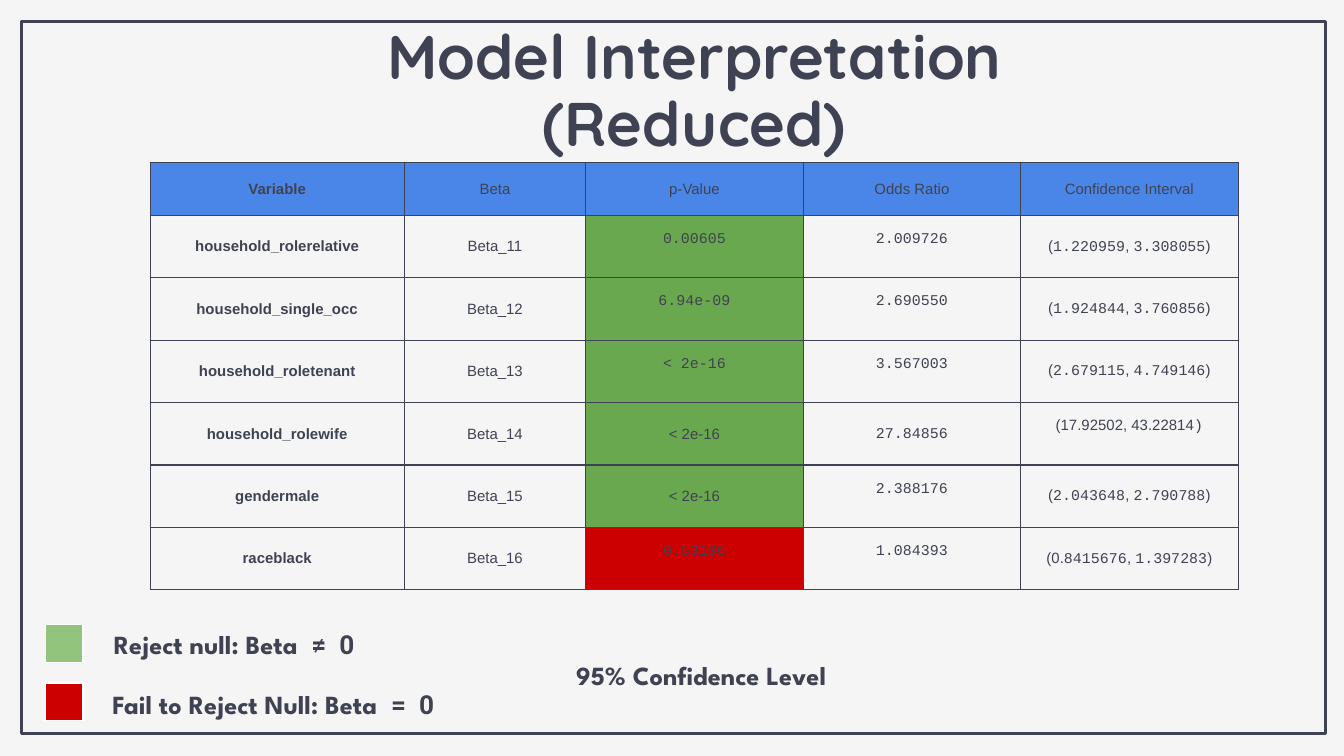
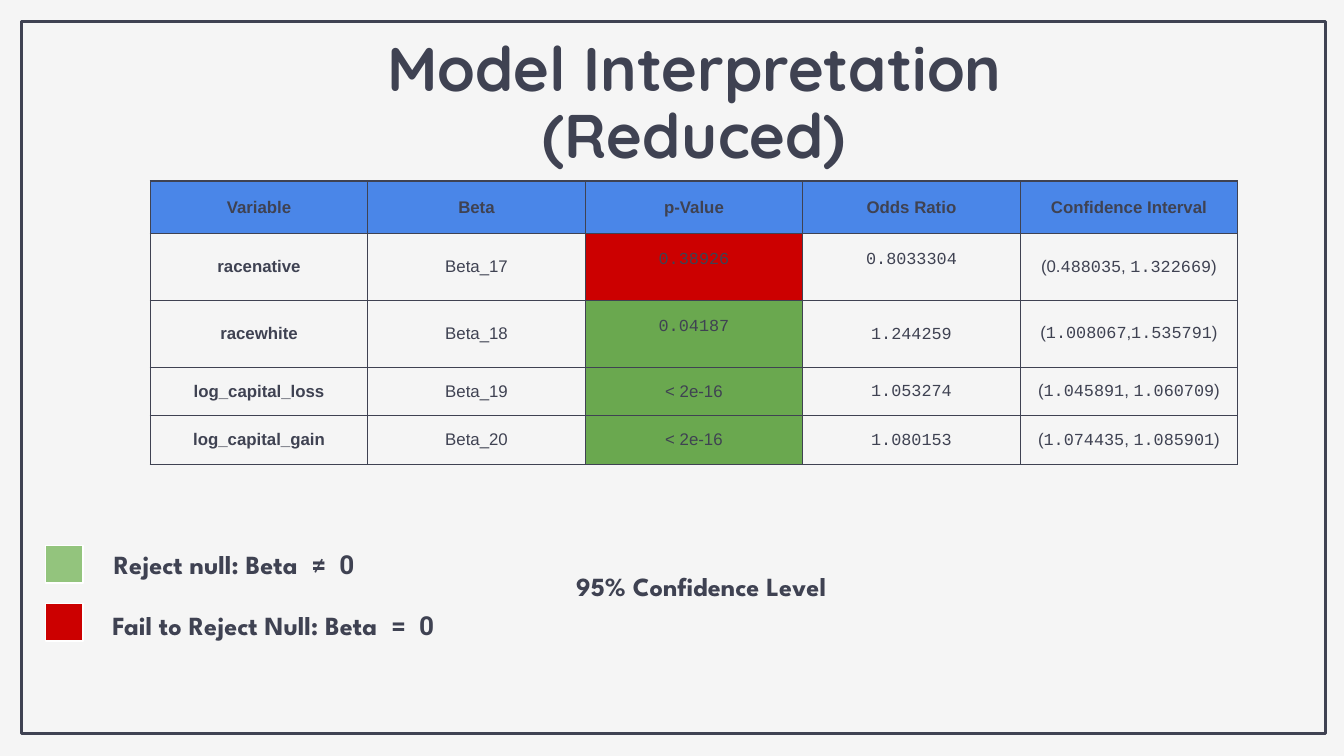
from lxml import etree
from pptx import Presentation
from pptx.dml.color import RGBColor
from pptx.enum.shapes import MSO_SHAPE as Preset
from pptx.enum.text import MSO_ANCHOR as Anchor, MSO_AUTO_SIZE as AutoSize, PP_ALIGN as Align
from pptx.oxml import parse_xml
from pptx.oxml.ns import nsdecls
from pptx.util import Cm, Pt

INK = RGBColor(0x3F, 0x42, 0x52)
PAPER = RGBColor(0xF5, 0xF5, 0xF5)
WHITE = RGBColor(0xFF, 0xFF, 0xFF)
BLUE = RGBColor(0x4A, 0x86, 0xE8)
GREEN = RGBColor(0x6A, 0xA8, 0x4F)
LIGHT_GREEN = RGBColor(0x93, 0xC4, 0x7D)
RED = RGBColor(0xCC, 0x00, 0x00)

INSET = Cm(0.25)
SWATCH = 0.71
HEADERS = ["Variable", "Beta", "p-Value", "Odds Ratio", "Confidence Interval"]
P_VALUE = 2

# Text between backticks is set in Courier New; raised lists (row, column) cells.
PAGES = [
    dict(
        title_top=0.25, table_top=3.07, legend_top=11.81, level_top=12.22,
        size=8, header_bold=False, columns=[4.8, 3.43, 4.11, 4.11, 4.11],
        heights=[1] + [1.18] * 6, rejected=5,
        raised={(1, 2), (2, 2), (3, 2), (6, 2), (1, 3), (2, 3), (3, 3), (5, 3), (6, 3), (4, 4)},
        rows=[
            ["household_rolerelative", "Beta_11", "`0.00605`", "`2.009726`", "(`1.220959`, `3.308055`)"],
            ["household_single_occ", "Beta_12", "`6.94e-09`", "`2.690550`", "(`1.924844`, `3.760856`)"],
            ["household_roletenant", "Beta_13", "`< 2e-16`", "`3.567003`", "(`2.679115`, `4.749146`)"],
            ["household_rolewife", "Beta_14", "< 2e-16", "`27.84856`", "(17.92502, 43.22814`)`"],
            ["gendermale", "Beta_15", "< 2e-16", "`2.388176`", "(`2.043648`, `2.790788`)"],
            ["raceblack", "Beta_16", "`0.53106`", "`1.084393`", "(0.`8415676`, `1.397283`)"],
        ],
        failing="raceblack",
    ),
    dict(
        title_top=0.48, table_top=3.42, legend_top=10.31, level_top=10.54,
        size=9, header_bold=True, columns=[4.11] * 5,
        heights=[1, 1.26, 1.26, 0.92, 0.92],
        raised={(1, 2), (2, 2), (1, 3)},
        rows=[
            ["racenative", "Beta_17", "`0.38926`", "`0.8033304`", "(0.`488035`, `1.322669`)"],
            ["racewhite", "Beta_18", "`0.04187`", "`1.244259`", "(`1.008067`,`1.535791`)"],
            ["log_capital_loss", "Beta_19", "< 2e-16", "`1.053274`", "(`1.045891`, `1.060709`)"],
            ["log_capital_gain", "Beta_20", "< 2e-16", "`1.080153`", "(`1.074435`, `1.085901`)"],
        ],
        failing="racenative",
    ),
]
LEGEND = [
    (LIGHT_GREEN, 0, 1.63, 0, 5.59, ["Reject null: Beta ", " ≠  0"]),
    (RED, 1.1, 1.42, 1.15, 7.49, ["Fail to Reject Null: Beta ", " =  0"]),
]


def write(frame, lines, size, fonts, bold, align, anchor, spacing=None):
    frame.vertical_anchor = anchor
    for index, pieces in enumerate(lines):
        paragraph = frame.paragraphs[0] if index == 0 else frame.add_paragraph()
        paragraph.alignment = align
        paragraph.line_spacing = spacing
        used = {fonts[i % 2] for i, piece in enumerate(pieces) if piece}
        paragraph.font.size = Pt(size)
        paragraph.font.bold = bold
        paragraph.font.color.rgb = INK
        if len(used) == 1:
            paragraph.font.name = used.pop()
        for i, piece in enumerate(pieces):
            if piece:
                run = paragraph.add_run()
                run.text = piece
                if used:
                    run.font.name = fonts[i % 2]


def set_box(shape, left, top, width, height):
    shape.left, shape.top, shape.width, shape.height = Cm(left), Cm(top), Cm(width), Cm(height)
    frame = shape.text_frame
    frame.word_wrap = True
    frame.auto_size = AutoSize.NONE
    frame.margin_left = frame.margin_right = frame.margin_top = frame.margin_bottom = INSET
    return frame


presentation = Presentation()
presentation.slide_width = Cm(25.4)
presentation.slide_height = Cm(14.29)
master = presentation.slide_master
master.background.fill.solid()
master.background.fill.fore_color.rgb = PAPER

for number, page in enumerate(PAGES):
    slide = presentation.slides.add_slide(presentation.slide_layouts[0])
    subtitle = slide.placeholders[1].element
    subtitle.getparent().remove(subtitle)

    if number == 0:
        border = slide.shapes.add_shape(Preset.RECTANGLE, Cm(0.41), Cm(0.41), Cm(24.64), Cm(13.46))
        border.shadow.inherit = False
        border.fill.background()
        border.line.color.rgb = INK
        border.line.width = Pt(1.5)
        border.element.nvSpPr.cNvPr.set("id", "20")
        master.shapes.element.append(border.element)

    frame = set_box(slide.shapes.title, 4.55, page["title_top"], 17.15, 2.08)
    write(frame, [["Model Interpretation"], ["(Reduced)"]], 33, ["Quicksand"] * 2, True,
          Align.CENTER, Anchor.TOP, 0.9)

    rows = [HEADERS] + page["rows"]
    table = slide.shapes.add_table(
        len(rows), len(HEADERS), Cm(2.84), Cm(page["table_top"]),
        Cm(sum(page["columns"])), Cm(sum(page["heights"]))).table
    table.first_row = table.horz_banding = False
    for column, width in zip(table.columns, page["columns"]):
        column.width = Cm(width)
    for r, values in enumerate(rows):
        table.rows[r].height = Cm(page["heights"][r])
        for c, value in enumerate(values):
            cell = table.cell(r, c)
            cell.margin_left = cell.margin_right = cell.margin_top = cell.margin_bottom = INSET
            if (r, c) in page["raised"]:
                cell.margin_bottom = Cm(0.55)
            properties = cell._tc.get_or_add_tcPr()
            for side in ["lnL", "lnR", "lnT", "lnB"]:
                properties.append(parse_xml(
                    f'<a:{side} {nsdecls("a")} w="{Pt(0.75)}"><a:solidFill>'
                    f'<a:srgbClr val="{INK}"/></a:solidFill></a:{side}>'))
            if r == 0 or c == P_VALUE:
                cell.fill.solid()
                cell.fill.fore_color.rgb = BLUE if r == 0 else RED if values[0] == page["failing"] else GREEN
            else:
                cell.fill.background()
            write(cell.text_frame, [value.split("`")], page["size"], ["Arial", "Courier New"],
                  c == 0 or (r == 0 and page["header_bold"]), Align.CENTER, None,
                  1.1 if value.startswith("`") else None)
            cell.vertical_anchor = Anchor.MIDDLE

    for color, swatch_drop, label_left, label_drop, label_width, label in LEGEND:
        top = page["legend_top"]
        swatch = slide.shapes.add_shape(
            Preset.RECTANGLE, Cm(0.86), Cm(top + swatch_drop), Cm(SWATCH), Cm(SWATCH))
        swatch.shadow.inherit = False
        swatch.fill.solid()
        swatch.fill.fore_color.rgb = color
        swatch.line.color.rgb = WHITE
        swatch.line.width = Pt(0.75)
        frame = set_box(slide.shapes.add_textbox(0, 0, 0, 0),
                        label_left, top + label_drop, label_width, SWATCH)
        write(frame, [label], 14, ["League Spartan", "Roboto"], True, Align.CENTER, Anchor.MIDDLE)

    frame = set_box(slide.shapes.add_textbox(0, 0, 0, 0), 10.64, page["level_top"], 5.92, 1.37)
    write(frame, [["95% Confidence Level"]], 14, ["League Spartan"] * 2, True, Align.LEFT, Anchor.TOP)

presentation.save("out.pptx")
